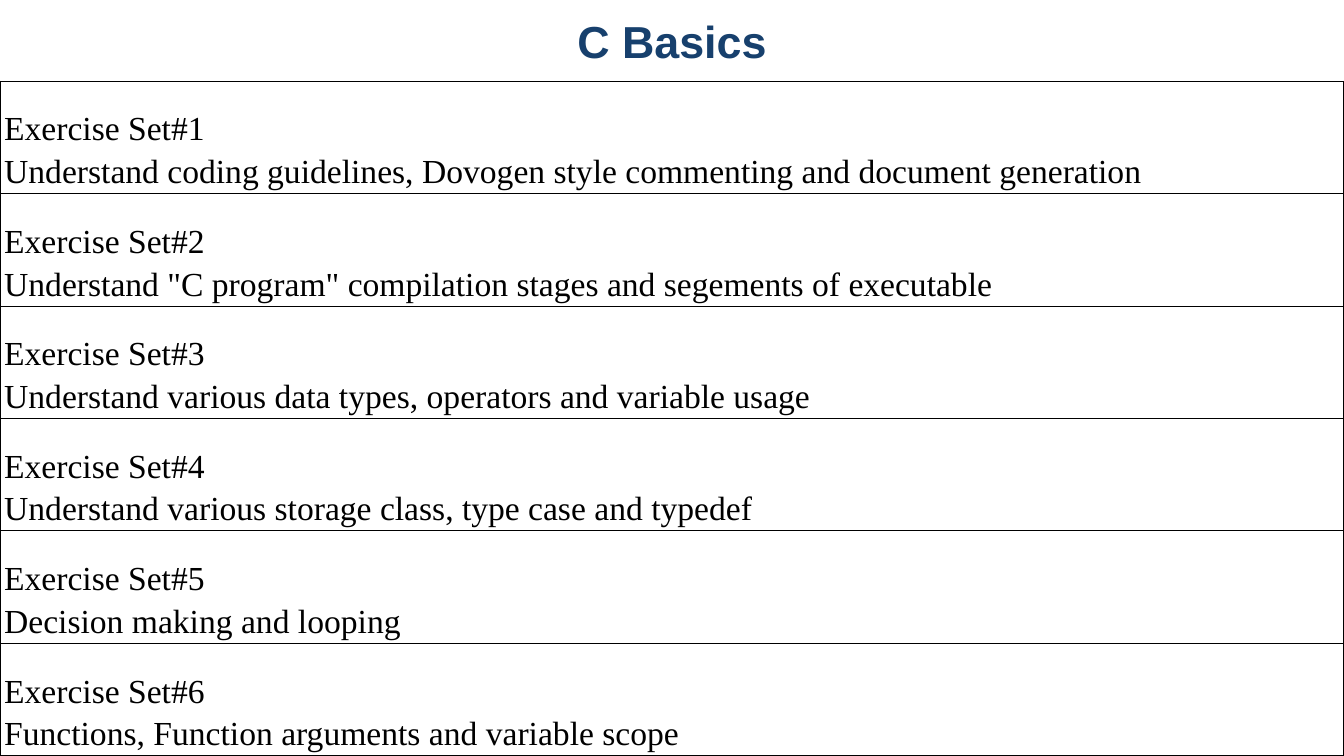
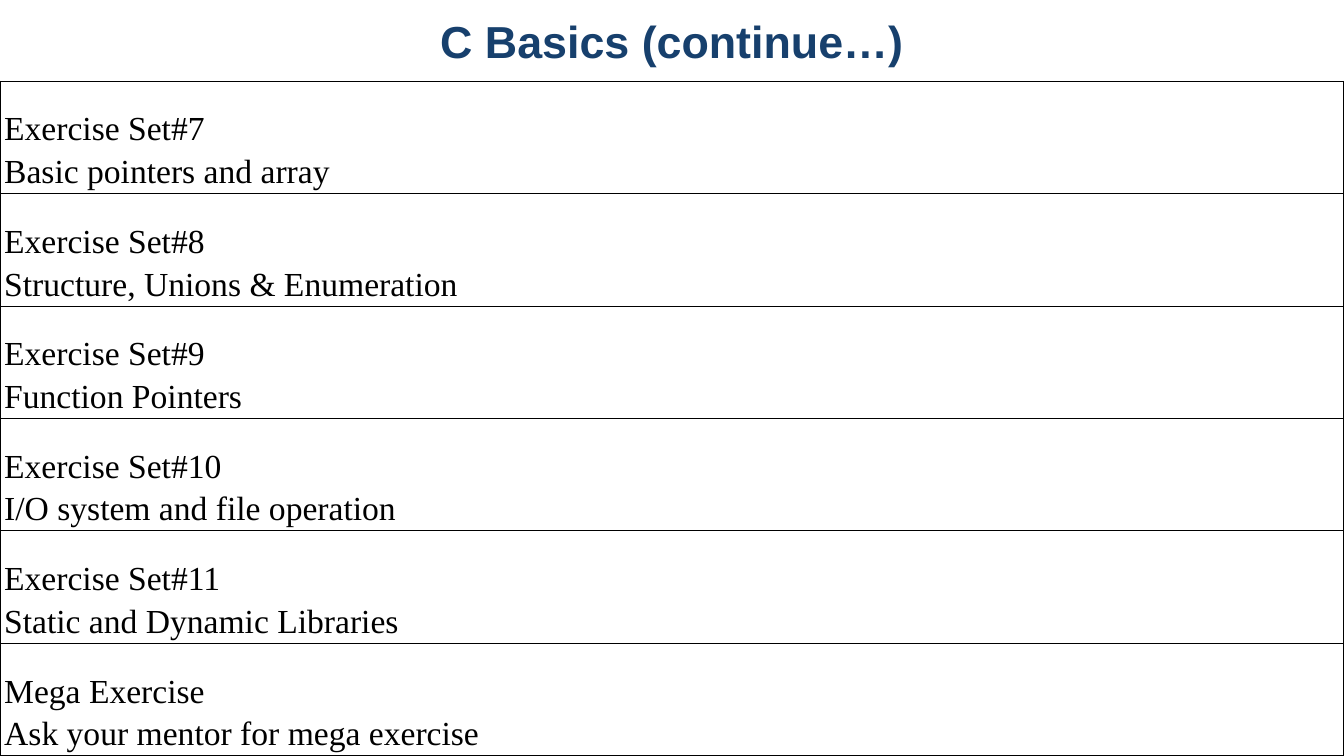
from lxml import etree
from pptx import Presentation
from pptx.dml.color import RGBColor
from pptx.enum import text
from pptx.oxml import ns
from pptx.util import Pt

COLORS = {"title": "17406D", "body": "000000", "border": "000000"}
TITLE_FONT = {"name": "Arial", "size": Pt(32), "bold": True}
BODY_FONT = {"name": "Times New Roman", "size": Pt(24), "bold": False}
TITLE_FRAME = {"margin_left": Pt(9.6), "margin_right": Pt(9.6),
               "margin_top": Pt(9.6), "margin_bottom": Pt(9.6),
               "vertical_anchor": text.MSO_ANCHOR.BOTTOM, "word_wrap": True}
CELL_FORMAT = {"margin_left": Pt(3), "margin_right": Pt(3),
               "margin_top": Pt(2), "margin_bottom": Pt(2),
               "vertical_anchor": text.MSO_ANCHOR.BOTTOM}

WIDTH, HEIGHT, TITLE_HEIGHT = 960, 540, 58
COLUMN_WIDTHS = [461.5, 249.25, 249.25]

PAGES = {
    "C Basics": [
        ("Exercise Set#1", "Understand coding guidelines, Dovogen style commenting and document generation"),
        ("Exercise Set#2", 'Understand "C program" compilation stages and segements of executable'),
        ("Exercise Set#3", "Understand various data types, operators and variable usage"),
        ("Exercise Set#4", "Understand various storage class, type case and typedef"),
        ("Exercise Set#5", "Decision making and looping"),
        ("Exercise Set#6", "Functions, Function arguments and variable scope"),
    ],
    "C Basics (continue…)": [
        ("Exercise Set#7", "Basic pointers and array"),
        ("Exercise Set#8", "Structure, Unions & Enumeration"),
        ("Exercise Set#9", "Function Pointers"),
        ("Exercise Set#10", "I/O system and file operation"),
        ("Exercise Set#11", "Static and Dynamic Libraries"),
        ("Mega Exercise", "Ask your mentor for mega exercise"),
    ],
}


def write(para, words, font, color):
    span = para.add_run()
    span.text = words
    for name, value in font.items():
        setattr(span.font, name, value)
    span.font.color.rgb = RGBColor.from_string(COLORS[color])


def add_borders(cell):
    properties = cell._tc.get_or_add_tcPr()
    for side in ("a:lnL", "a:lnR", "a:lnT", "a:lnB"):
        line = etree.SubElement(properties, ns.qn(side), w=str(Pt(0.75)))
        fill = etree.SubElement(line, ns.qn("a:solidFill"))
        etree.SubElement(fill, ns.qn("a:srgbClr"), val=COLORS["border"])


deck = Presentation()
deck.slide_width, deck.slide_height = Pt(WIDTH), Pt(HEIGHT)

for heading, exercises in PAGES.items():
    page = deck.slides.add_slide(deck.slide_layouts[5])

    # Title
    box = page.shapes.title
    box.left, box.top, box.width, box.height = 0, 0, Pt(WIDTH), Pt(TITLE_HEIGHT)
    for name, value in TITLE_FRAME.items():
        setattr(box.text_frame, name, value)
    para = box.text_frame.paragraphs[0]
    para.alignment = text.PP_ALIGN.CENTER
    write(para, heading, TITLE_FONT, "title")

    # Exercise table, filling the rest of the page
    table = page.shapes.add_table(
        len(exercises), len(COLUMN_WIDTHS), 0, Pt(TITLE_HEIGHT),
        Pt(WIDTH), Pt(HEIGHT - TITLE_HEIGHT)).table
    table.first_row = table.horz_banding = False
    for column, width in zip(table.columns, COLUMN_WIDTHS):
        column.width = Pt(width)
    for cell in table.iter_cells():
        add_borders(cell)
        cell.fill.background()

    # One exercise per row, across all columns
    for row, lines in enumerate(exercises):
        cell = table.cell(row, 0)
        cell.merge(table.cell(row, len(COLUMN_WIDTHS) - 1))
        for name, value in CELL_FORMAT.items():
            setattr(cell, name, value)
        frame = cell.text_frame
        for para, words in zip((frame.paragraphs[0], frame.add_paragraph()), lines):
            para.line_spacing = 1.15
            write(para, words, BODY_FONT, "body")

deck.save("out.pptx")
